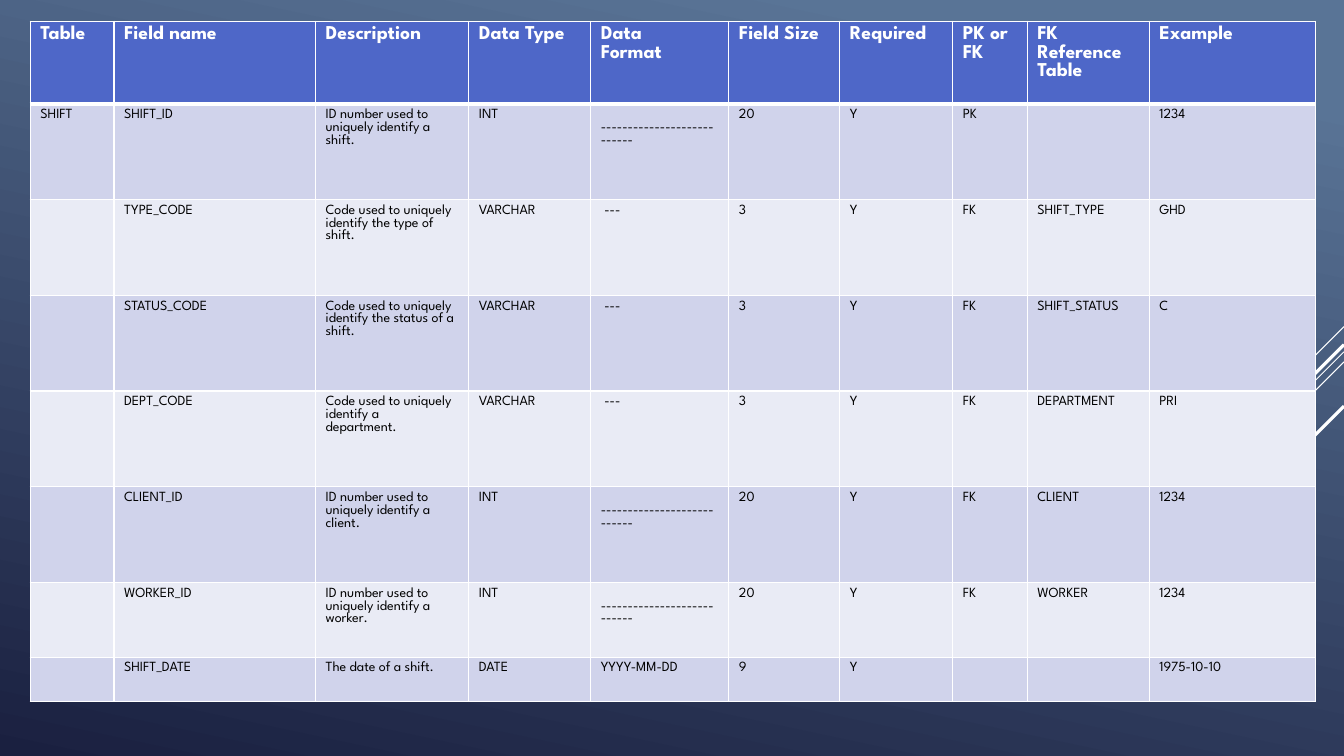
from lxml import etree
from pptx import Presentation
from pptx.dml.color import RGBColor
from pptx.enum.shapes import MSO_CONNECTOR
from pptx.oxml.ns import qn
from pptx.util import Inches, Pt

# Content
HEADINGS = ("Table", "Field name", "Description", "Data Type", "Data\vFormat",
            "Field Size", "Required", "PK or FK", "FK Reference Table", "Example")
LONG_DASHES = " " + "-" * 27
SHORT_DASHES = " ---"
FIELDS = [
    ("SHIFT", "SHIFT_ID", "ID number used to uniquely identify a shift.",
     "INT", LONG_DASHES, "20", "Y", "PK", "", "1234"),
    ("", "TYPE_CODE", "Code used to uniquely identify the type of shift.",
     "VARCHAR", SHORT_DASHES, "3", "Y", "FK", "SHIFT_TYPE", "GHD"),
    ("", "STATUS_CODE", "Code used to uniquely identify the status of a shift.",
     "VARCHAR", SHORT_DASHES, "3", "Y", "FK", "SHIFT_STATUS", "C"),
    ("", "DEPT_CODE", "Code used to uniquely identify a\vdepartment.",
     "VARCHAR", SHORT_DASHES, "3", "Y", "FK", "DEPARTMENT", "PRI"),
    ("", "CLIENT_ID", "ID number used to uniquely identify a client.",
     "INT", LONG_DASHES, "20", "Y", "FK", "CLIENT", "1234"),
    ("", "WORKER_ID", "ID number used to uniquely identify a worker.",
     "INT", LONG_DASHES, "20", "Y", "FK", "WORKER", "1234"),
    ("", "SHIFT_DATE", "The date of a shift.",
     "DATE", "YYYY-MM-DD", "9", "Y", "", "", "1975-10-10"),
]

# Layout in inches
WIDTH, HEIGHT = 13.33, 7.5
TABLE_LEFT, TABLE_TOP = 0.3, 0.21
COLUMNS = (0.83, 2, 1.52, 1.21, 1.37, 1.1, 1.12, 0.74, 1.21, 1.65)
ROWS = (0.82, *[0.95] * 5, 0.74, 0.44)
# Diagonals: height on the right edge, reach to the lower left, weight in points
DIAGONALS = [(3.24, 1, 0.75), (3.49, 3.26, 0.75), (3.59, 2.07, 0.75),
             (3.42, 1.91, 2.25), (4.03, 1.39, 2.25)]

FONT = "League Spartan"
COLORS = {"sky": "597496", "night": "1A2040", "header": "4E67C8",
          "odd": "D0D3EB", "even": "E9EBF5", "white": "FFFFFF", "black": "000000"}


def color(name):
    return RGBColor.from_string(COLORS[name])


def add_diagonal(slide, top, reach, weight):
    line = slide.shapes.add_connector(
        MSO_CONNECTOR.STRAIGHT, Inches(WIDTH), Inches(top),
        Inches(WIDTH - reach), Inches(top + reach))
    line.line.color.rgb = color("white")
    line.line.width = Pt(weight)
    etree.SubElement(line._element.spPr, qn("a:effectLst"))


def set_borders(cell, weights):
    properties = cell._tc.get_or_add_tcPr()
    for index, (side, weight) in enumerate(weights.items()):
        border = etree.Element(qn(f"a:ln{side}"), w=str(Pt(weight)))
        fill = etree.SubElement(border, qn("a:solidFill"))
        etree.SubElement(fill, qn("a:srgbClr"), val=COLORS["white"])
        properties.insert(index, border)


def fill_cell(cell, text, row):
    header = row == 0
    cell.text = text
    cell.fill.solid()
    cell.fill.fore_color.rgb = color("header" if header else "odd" if row % 2 else "even")
    set_borders(cell, {"L": 1, "R": 1, "T": 1, "B": 3} if header
                else {"L": 1, "R": 1, "B": 1})
    font = cell.text_frame.paragraphs[0].font
    font.name = FONT
    font.size = Pt(14 if header else 10)
    font.bold = header
    font.color.rgb = color("white" if header else "black")


def main():
    presentation = Presentation()
    presentation.slide_width = Inches(WIDTH)
    presentation.slide_height = Inches(HEIGHT)
    slide = presentation.slides.add_slide(presentation.slide_layouts[6])

    # Background gradient, running down and slightly left
    background = slide.background.fill
    background.gradient()
    background.gradient_angle = 360 - 102
    for stop, position, name in zip(background.gradient_stops, (0.1, 1), ("sky", "night")):
        stop.position = position
        stop.color.rgb = color(name)

    # Diagonal lines behind the table
    for diagonal in DIAGONALS:
        add_diagonal(slide, *diagonal)

    # Data dictionary
    table = slide.shapes.add_table(
        len(ROWS), len(COLUMNS), Inches(TABLE_LEFT), Inches(TABLE_TOP),
        Inches(sum(COLUMNS)), Inches(sum(ROWS))).table
    for column, width in zip(table.columns, COLUMNS):
        column.width = Inches(width)
    for row, height in zip(table.rows, ROWS):
        row.height = Inches(height)
    for row, texts in enumerate([HEADINGS, *FIELDS]):
        for column, text in enumerate(texts):
            fill_cell(table.cell(row, column), text, row)

    presentation.save("out.pptx")


if __name__ == "__main__":
    main()
